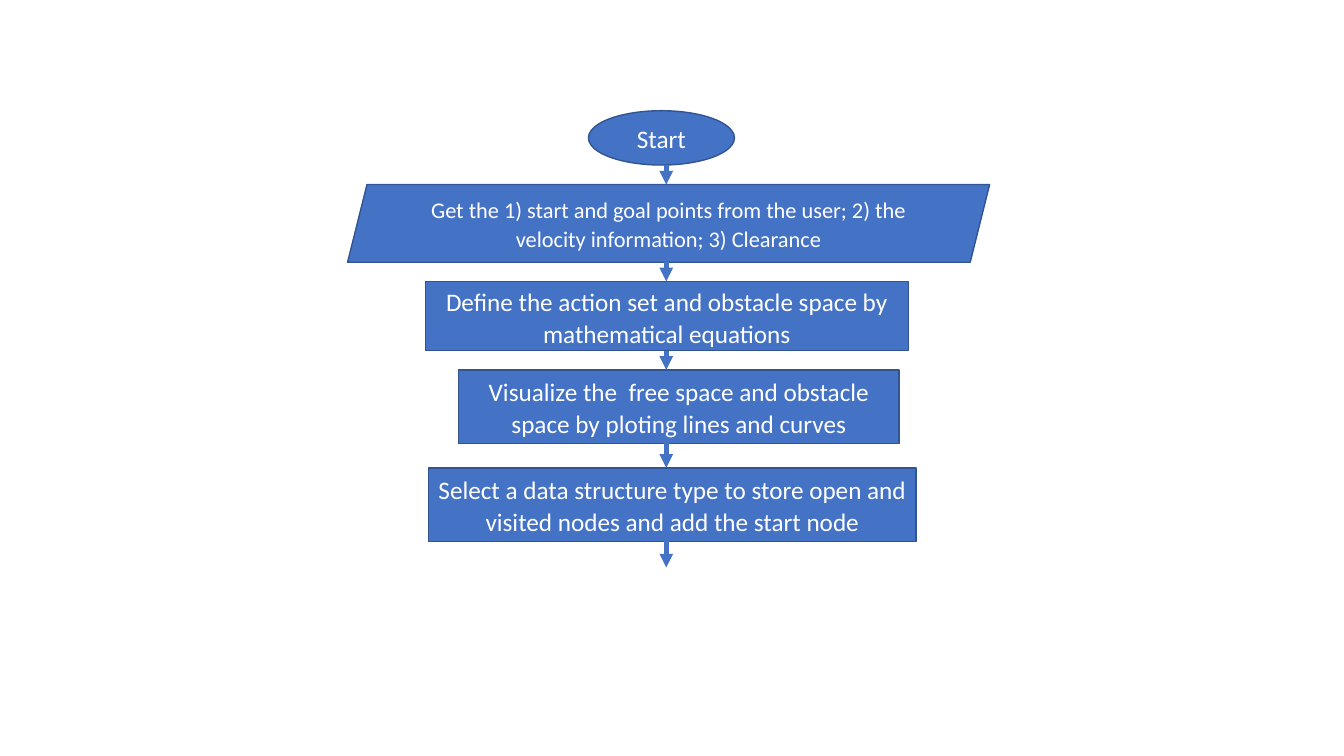
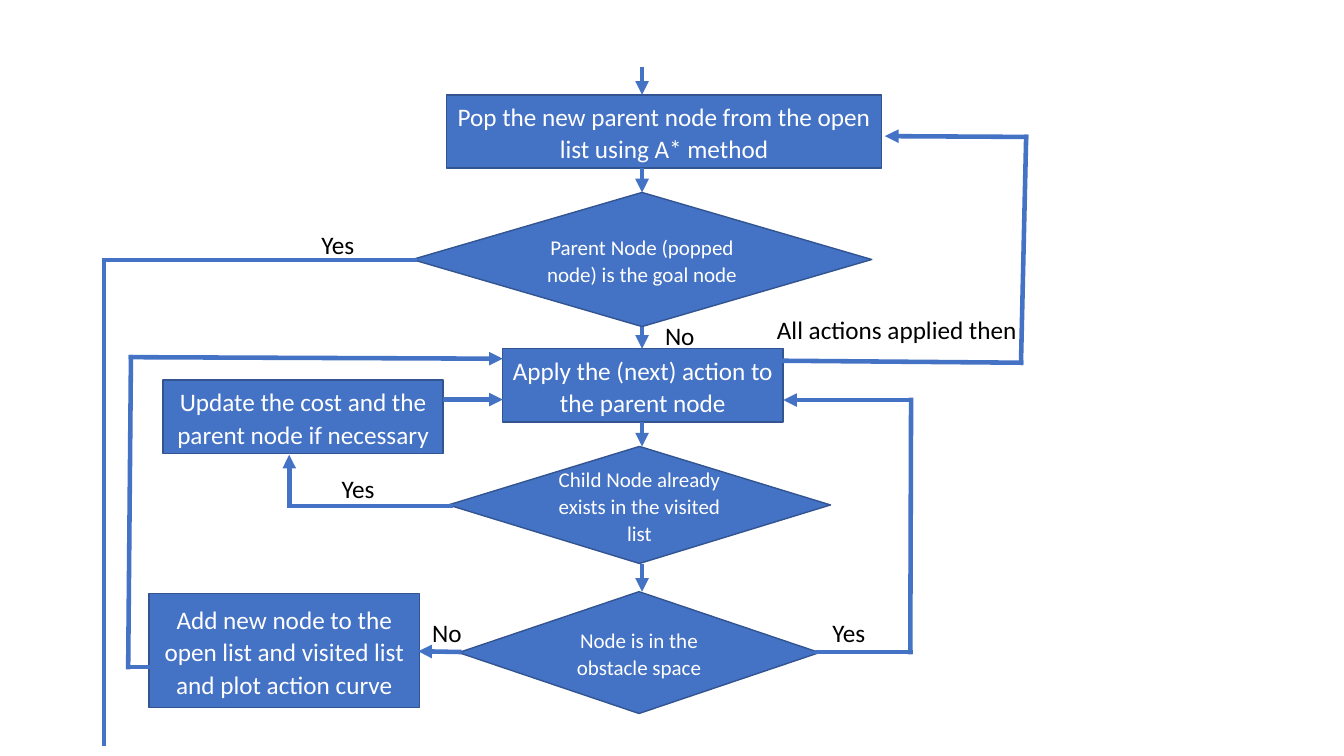
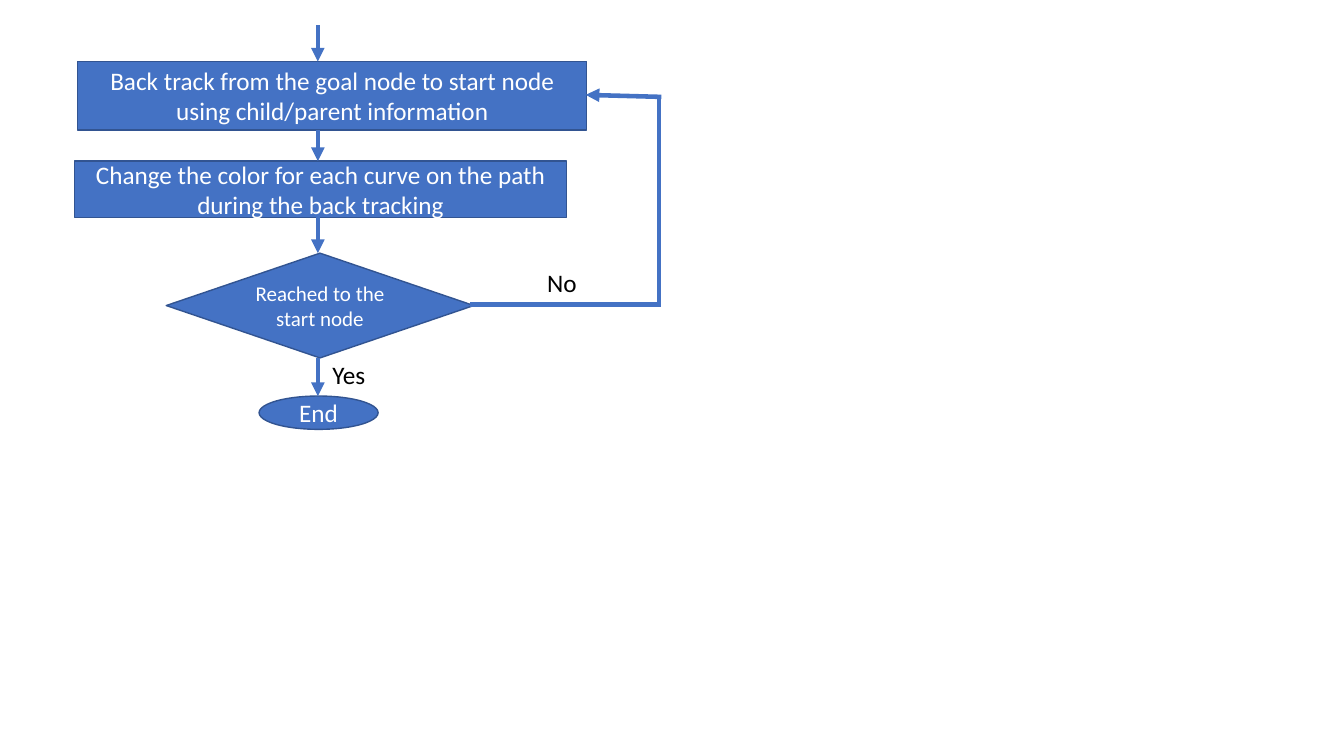
from dataclasses import dataclass
from itertools import pairwise

from pptx import Presentation
from pptx.dml.color import RGBColor as RGB
from pptx.enum.shapes import MSO_CONNECTOR as LINE, MSO_SHAPE as SHAPE
from pptx.enum.text import MSO_ANCHOR as ANCHOR, PP_ALIGN as ALIGN
from pptx.oxml.ns import qn
from pptx.util import Cm, Pt


@dataclass(frozen=True)
class Theme:
    """Colours, font and sizes shared by the slides."""
    fill: RGB = RGB(0x44, 0x72, 0xC4)
    edge: RGB = RGB(0x32, 0x54, 0x91)
    light: RGB = RGB(255, 255, 255)
    dark: RGB = RGB(0, 0, 0)
    font: str = "Calibri"
    text: int = 18
    input: int = 16
    test: int = 15
    rim: float = 1
    link: float = 3.25


@dataclass(frozen=True)
class Box:
    """An area in centimetres; its contents are placed from its top left."""
    left: float
    top: float
    width: float
    height: float

    def inner(self, x, y, width, height):
        """Give the area at an offset in this one."""
        return Box(self.left + x, self.top + y, width, height)

    def spot(self, x, y):
        """Give the slide position of an offset in this area."""
        return Cm(self.left + x), Cm(self.top + y)

    def frame(self):
        """Give left, top, width and height as lengths."""
        return [Cm(n) for n in (self.left, self.top, self.width, self.height)]


LOOK = Theme()
SIZES = {SHAPE.PARALLELOGRAM: LOOK.input, SHAPE.DIAMOND: LOOK.test}


def write(shape, text, size=LOOK.text, color=LOOK.light, align=ALIGN.CENTER,
          anchor=ANCHOR.MIDDLE, lead=1.0):
    """Put formatted text in a shape."""
    frame = shape.text_frame
    frame.word_wrap = True
    frame.vertical_anchor = anchor
    para = frame.paragraphs[0]
    para.alignment = align
    para.line_spacing = lead
    run = para.add_run()
    run.text = text
    run.font.name = LOOK.font
    run.font.size = Pt(size)
    run.font.color.rgb = color


def node(slide, box, kind, text, lead):
    """Draw one step of the flow."""
    shape = slide.shapes.add_shape(kind, *box.frame())
    shape.shadow.inherit = False
    shape.fill.solid()
    shape.fill.fore_color.rgb = LOOK.fill
    shape.line.color.rgb = LOOK.edge
    shape.line.width = Pt(LOOK.rim)
    write(shape, text, size=SIZES.get(kind, LOOK.text), lead=lead)


def label(slide, box, text, lead):
    """Name a branch of the flow."""
    shape = slide.shapes.add_textbox(*box.frame())
    write(shape, text, color=LOOK.dark, align=ALIGN.LEFT,
          anchor=ANCHOR.TOP, lead=lead)


def link(slide, box, *points, arrow=True):
    """Join points with straight lines, with an arrow at the last one."""
    last = len(points) - 2
    for i, (start, end) in enumerate(pairwise(points)):
        line = slide.shapes.add_connector(
            LINE.STRAIGHT, *box.spot(*start), *box.spot(*end))
        line.line.color.rgb = LOOK.fill
        line.line.width = Pt(LOOK.link)
        prop = line._element.spPr
        stroke = prop.find(qn("a:ln"))
        if last:
            stroke.set("cap", "sq")
        if arrow and i == last:
            tip = stroke.makeelement(qn("a:tailEnd"), {"type": "triangle"})
            stroke.append(tip)
        prop.append(prop.makeelement(qn("a:effectLst"), {}))


def column(slide, box, axis, steps, lead, entry=None, out=None):
    """Draw steps and the arrows between them, from entry to out."""
    for kind, area, text in steps:
        node(slide, box.inner(*area), kind, text, lead)
    areas = [area for _, area, _ in steps]
    ends = [(a[1] + a[3], b[1]) for a, b in pairwise(areas)]
    if entry is not None:
        ends.append((entry, areas[0][1]))
    if out is not None:
        ends.append((areas[-1][1] + areas[-1][3], out))
    for top, low in ends:
        link(slide, box, (axis, top), (axis, low))


def setup(slide, box):
    """Draw the steps that prepare the search."""
    steps = [
        (SHAPE.OVAL, (6.07, 0, 3.68, 1.37), "Start"),
        (SHAPE.PARALLELOGRAM, (0, 1.86, 16.18, 1.96),
         "Get the 1) start and goal points from the user; "
         "2) the velocity information; 3) Clearance"),
        (SHAPE.RECTANGLE, (1.96, 4.3, 12.17, 1.75),
         "Define the action set and obstacle space by mathematical equations"),
        (SHAPE.RECTANGLE, (2.8, 6.53, 11.1, 1.85),
         "Visualize the  free space and obstacle space "
         "by ploting lines and curves"),
        (SHAPE.RECTANGLE, (2.04, 9, 12.29, 1.85),
         "Select a data structure type to store open and visited nodes "
         "and add the start node"),
    ]
    column(slide, box, 8.03, steps, 1.07, out=box.height)


def search(slide, box):
    """Draw the search loop with its branches."""
    lead = 1.07
    steps = [
        (SHAPE.RECTANGLE, (8.68, 0.69, 10.97, 1.85),
         "Pop the new parent node from the open list using A* method"),
        (SHAPE.DIAMOND, (7.82, 3.15, 11.58, 3.38),
         "Parent Node (popped node) is the goal node"),
        (SHAPE.RECTANGLE, (10.1, 7.09, 7.06, 1.85),
         "Apply the (next) action to the parent node"),
        (SHAPE.DIAMOND, (8.73, 9.55, 9.63, 2.95),
         "Child Node already exists in the visited list"),
        (SHAPE.DIAMOND, (8.99, 13.21, 9.09, 3.07),
         "Node is in the obstacle space"),
    ]
    column(slide, box, 13.61, steps, lead, entry=0)
    sides = [
        ((1.54, 7.88, 7.06, 1.85),
         "Update the cost and the parent node if necessary"),
        ((1.19, 13.26, 6.81, 2.87),
         "Add new node to the open list and visited list "
         "and plot action curve"),
    ]
    for area, text in sides:
        node(slide, box.inner(*area), SHAPE.RECTANGLE, text, lead)

    link(slide, box, (7.89, 4.85), (0.05, 4.85), (0.05, box.height),
         arrow=False)
    routes = [
        [(17.17, 7.39), (23.16, 7.44), (23.29, 1.75), (19.73, 1.73)],
        [(8.6, 8.37), (10.1, 8.37)],
        [(8.78, 11.05), (4.72, 11.05), (4.72, 9.76)],
        [(9.06, 14.73), (7.97, 14.71)],
        [(18, 14.73), (20.37, 14.73), (20.39, 8.38), (17.17, 8.38)],
        [(1.19, 15.11), (0.66, 15.11), (0.73, 7.3), (10.1, 7.34)],
    ]
    for route in routes:
        link(slide, box, *route)

    names = [
        (5.28, 3.89, 1.5, "Yes"),
        (13.94, 6.2, 1.5, "No"),
        (16.76, 6.05, 7.29, "All actions applied then"),
        (5.79, 10.06, 1.5, "Yes"),
        (8.07, 13.69, 1.5, "No"),
        (18.16, 13.69, 1.5, "Yes"),
    ]
    for x, y, width, text in names:
        label(slide, box.inner(x, y, width, 1.05), text, lead)


def trace(slide, box):
    """Draw the way back from the goal to the start."""
    steps = [
        (SHAPE.RECTANGLE, (0.08, 0.91, 12.83, 1.73),
         "Back track from the goal node to start node "
         "using child/parent information"),
        (SHAPE.RECTANGLE, (0, 3.42, 12.4, 1.42),
         "Change the color for each curve on the path "
         "during the back tracking"),
        (SHAPE.DIAMOND, (2.31, 5.74, 7.75, 2.64), "Reached to the start node"),
        (SHAPE.OVAL, (4.65, 9.34, 3, 0.84), "End"),
    ]
    column(slide, box, 6.13, steps, 1.0, entry=0)
    link(slide, box, (10.01, 7.03), (14.73, 7.03), (14.73, 1.8), (12.88, 1.75))
    for x, y, text in [(6.25, 8.3, "Yes"), (11.66, 5.96, "No")]:
        label(slide, box.inner(x, y, 1.5, 1.02), text, 1.0)


def build():
    """Make the deck and save it."""
    deck = Presentation()
    deck.slide_width, deck.slide_height = Cm(33.87), Cm(19.05)
    pages = [
        (setup, Box(8.76, 2.79, 16.18, 11.51)),
        (search, Box(2.57, 1.7, 23.29, 17.05)),
        (trace, Box(1.88, 0.64, 14.73, 10.18)),
    ]
    for draw, box in pages:
        draw(deck.slides.add_slide(deck.slide_layouts[6]), box)
    deck.save("out.pptx")


build()
